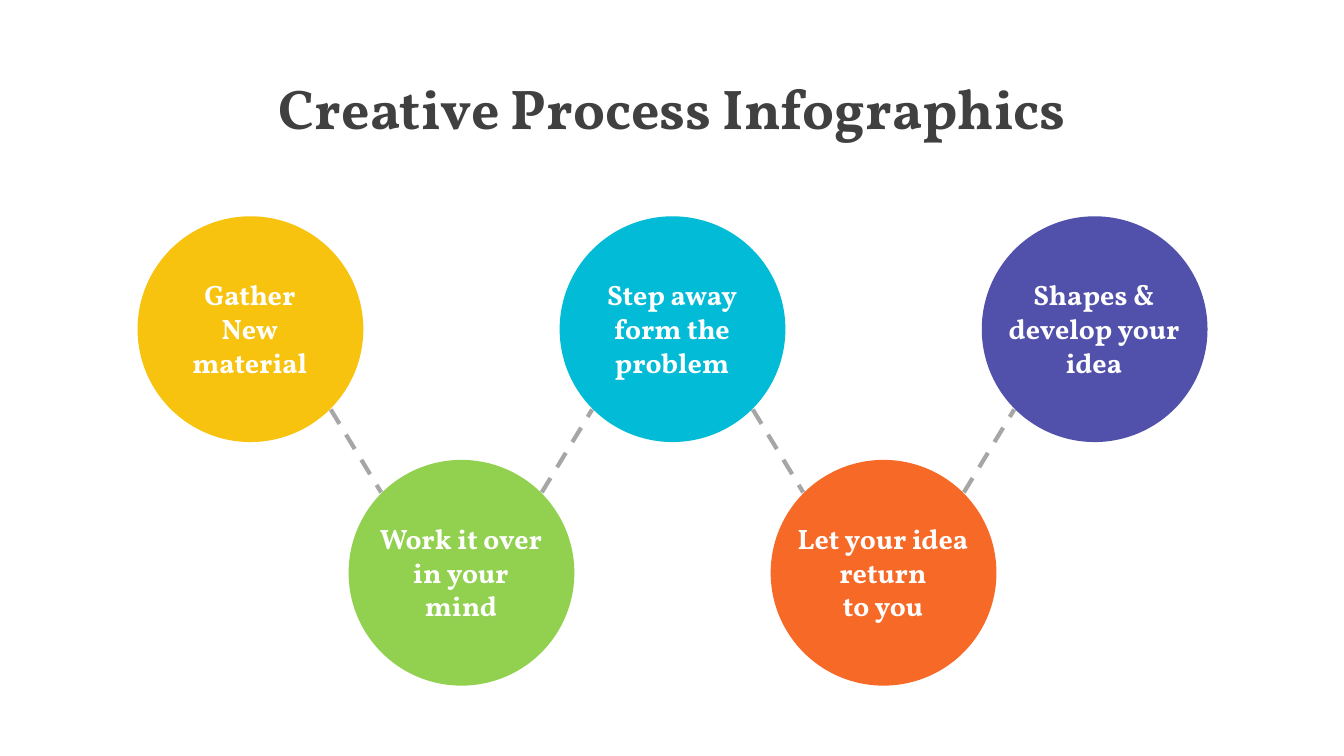
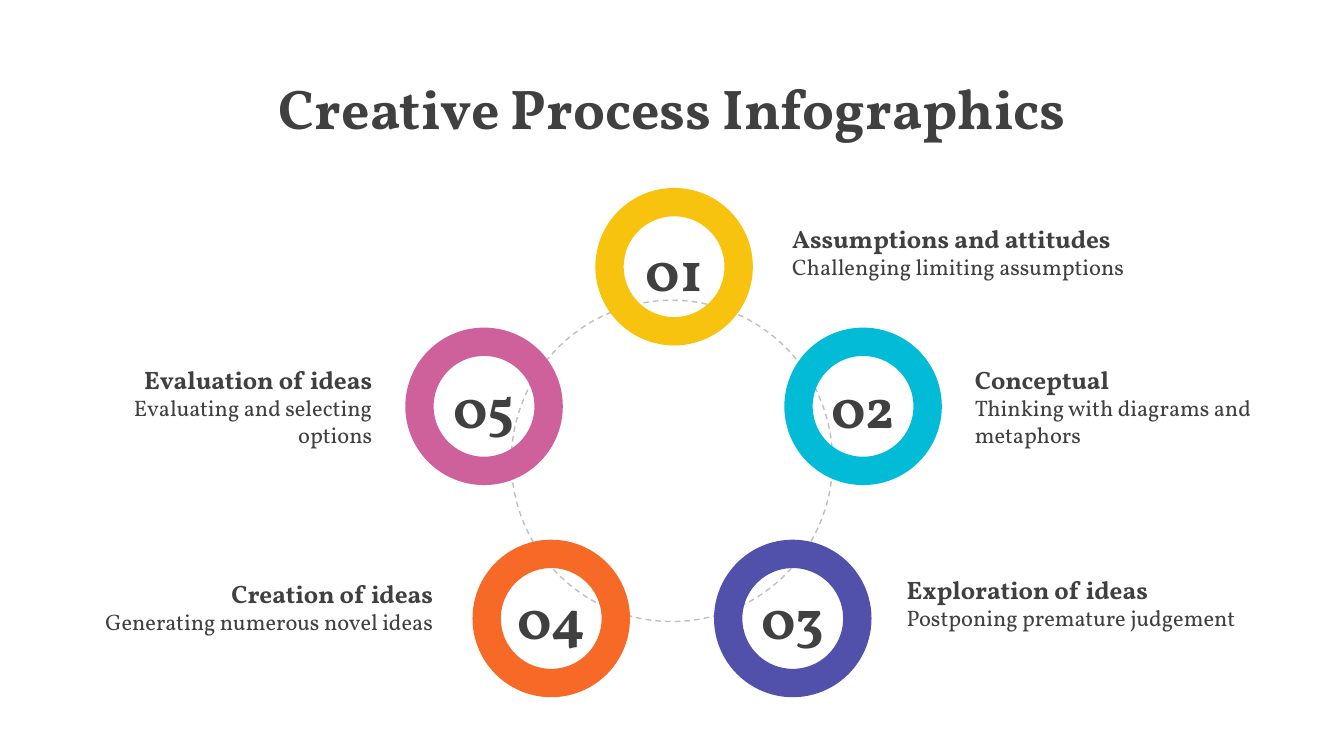
import math

import pptx
import pptx.dml.color
import pptx.enum.dml
import pptx.enum.shapes
import pptx.enum.text
import pptx.oxml.ns
import pptx.util
import lxml.etree

RGBColor = pptx.dml.color.RGBColor
MSO_SHAPE = pptx.enum.shapes.MSO_SHAPE
ALIGN = pptx.enum.text.PP_ALIGN
DASH = pptx.enum.dml.MSO_LINE.DASH

PX = 9525  # EMU in one px, 96 px to the inch
FONT = "Vollkorn"
DARK = RGBColor(0x40, 0x40, 0x40)
WHITE = RGBColor(0xFF, 0xFF, 0xFF)
LINK_GREY = RGBColor(0xA6, 0xA6, 0xA6)
ORBIT_GREY = RGBColor(0xBF, 0xBF, 0xBF)
YELLOW = RGBColor(0xF7, 0xC3, 0x0F)
GREEN = RGBColor(0x92, 0xD0, 0x50)
CYAN = RGBColor(0x02, 0xBB, 0xD6)
ORANGE = RGBColor(0xF7, 0x69, 0x27)
INDIGO = RGBColor(0x51, 0x51, 0xAB)
PINK = RGBColor(0xCE, 0x60, 0x9C)


def write_text(shape, lines, alignment, color=DARK, wrap=True):
    """Fill a shape with one paragraph per (text, size, bold) line."""
    frame = shape.text_frame
    frame.word_wrap = wrap
    frame.auto_size = pptx.enum.text.MSO_AUTO_SIZE.NONE
    frame.vertical_anchor = pptx.enum.text.MSO_ANCHOR.TOP
    for index, (text, size, bold) in enumerate(lines):
        paragraph = frame.add_paragraph() if index else frame.paragraphs[0]
        paragraph.alignment = alignment
        run = paragraph.add_run()
        run.text = text
        run.font.name = FONT
        run.font.size = pptx.util.Pt(size)
        run.font.bold = bold
        run.font.color.rgb = color


def add_round(slide, kind, left, top, size, fill=None):
    """Add a round shape without outline or shadow."""
    shape = slide.shapes.add_shape(kind, left * PX, top * PX, size * PX, size * PX)
    shape.shadow.inherit = False
    shape.line.fill.background()
    if fill is None:
        shape.fill.background()
    else:
        shape.fill.solid()
        shape.fill.fore_color.rgb = fill
    return shape


presentation = pptx.Presentation()
presentation.slide_width = 1280 * PX
presentation.slide_height = 720 * PX

# Both slides with their shared title
title_only = presentation.slide_layouts[5]
slides = []
for _ in range(2):
    slide = presentation.slides.add_slide(title_only)
    title = slide.shapes.title
    title.left, title.top = 0, 65 * PX
    title.width, title.height = 1280 * PX, 74 * PX
    write_text(title, [("Creative Process Infographics", 40, True)], ALIGN.CENTER)
    slides.append(slide)
zigzag_slide, orbit_slide = slides

# Slide 1: five circles in a zigzag
CIRCLE = 215
FIRST_LEFT, STEP = 131, 201
ROW_TOPS = (206, 438)
STAGES = [
    (YELLOW, ["Gather", "New", "material"]),
    (GREEN, ["Work it over in your", "mind"]),
    (CYAN, ["Step away form the problem"]),
    (ORANGE, ["Let your idea return", "to you"]),
    (INDIGO, ["Shapes & develop your idea"]),
]
corners = [(FIRST_LEFT + index * STEP, ROW_TOPS[index % 2])
           for index in range(len(STAGES))]

# Dashed links run between the diagonal points of neighbouring circles
near = round(CIRCLE / 2 * (1 - math.sqrt(0.5)))
far = CIRCLE - near
for (left, top), (next_left, next_top) in zip(corners, corners[1:]):
    goes_down = next_top > top
    link = zigzag_slide.shapes.add_connector(
        pptx.enum.shapes.MSO_CONNECTOR.STRAIGHT,
        (left + far) * PX,
        (top + (far if goes_down else near)) * PX,
        (next_left + near) * PX,
        (next_top + (near if goes_down else far)) * PX)
    link.line.color.rgb = LINK_GREY
    link.line.width = pptx.util.Pt(3)
    link.line.dash_style = DASH.DASH
    lxml.etree.SubElement(link._element.spPr, pptx.oxml.ns.qn("a:effectLst"))

for (left, top), (color, lines) in zip(corners, STAGES):
    add_round(zigzag_slide, MSO_SHAPE.OVAL, left, top, CIRCLE, color)
    caption = zigzag_slide.shapes.add_textbox(
        (left + 11) * PX, (top + 54) * PX, 192 * PX, 107 * PX)
    write_text(caption, [(line, 20, True) for line in lines], ALIGN.CENTER, WHITE)

# Slide 2: dashed orbit with five numbered rings
orbit = add_round(orbit_slide, MSO_SHAPE.OVAL, 487, 286, 306)
orbit.line.color.rgb = ORBIT_GREY
orbit.line.width = pptx.util.Pt(1)
orbit.line.dash_style = DASH.DASH

RING = 150
NUMBER_WIDTH, NUMBER_HEIGHT = 84, 74
# Colour, ring left and top, number top, label left and top, alignment, texts
IDEAS = [
    (YELLOW, 567, 179, 220, 745, 208, ALIGN.LEFT,
     "Assumptions and attitudes", ["Challenging limiting assumptions"]),
    (CYAN, 747, 312, 350, 919, 342, ALIGN.LEFT,
     "Conceptual", ["Thinking with diagrams and metaphors"]),
    (INDIGO, 680, 514, 551, 854, 542, ALIGN.LEFT,
     "Exploration of ideas", ["Postponing premature judgement"]),
    (ORANGE, 450, 514, 551, 84, 546, ALIGN.RIGHT,
     "Creation of ideas", ["Generating numerous novel ideas"]),
    (PINK, 386, 312, 350, 26, 342, ALIGN.RIGHT,
     "Evaluation of ideas", ["Evaluating and selecting", "options"]),
]
for order, idea in enumerate(IDEAS, start=1):
    (color, left, top, number_top, label_left, label_top,
     alignment, heading, details) = idea
    ring = add_round(orbit_slide, MSO_SHAPE.DONUT, left, top, RING, color)
    ring.adjustments[0] = 0.18

    number = orbit_slide.shapes.add_textbox(
        (left + (RING - NUMBER_WIDTH) // 2) * PX, number_top * PX,
        NUMBER_WIDTH * PX, NUMBER_HEIGHT * PX)
    write_text(number, [(f"{order:02d}", 40, True)], ALIGN.CENTER, wrap=False)

    label = orbit_slide.shapes.add_textbox(
        label_left * PX, label_top * PX, 338 * PX, 90 * PX)
    write_text(label, [(heading, 18, True)] + [(line, 16, False) for line in details],
               alignment)

presentation.save("out.pptx")
